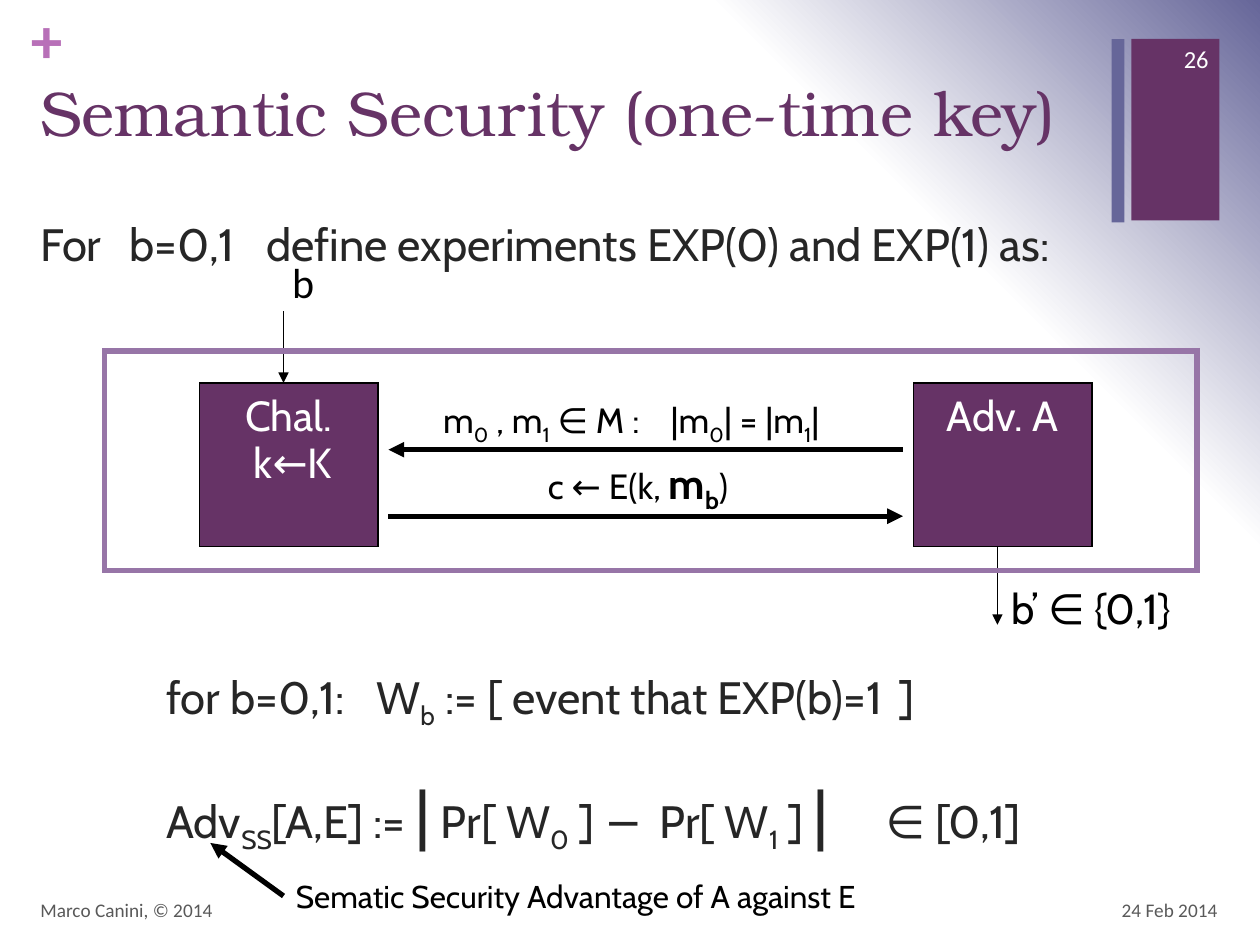
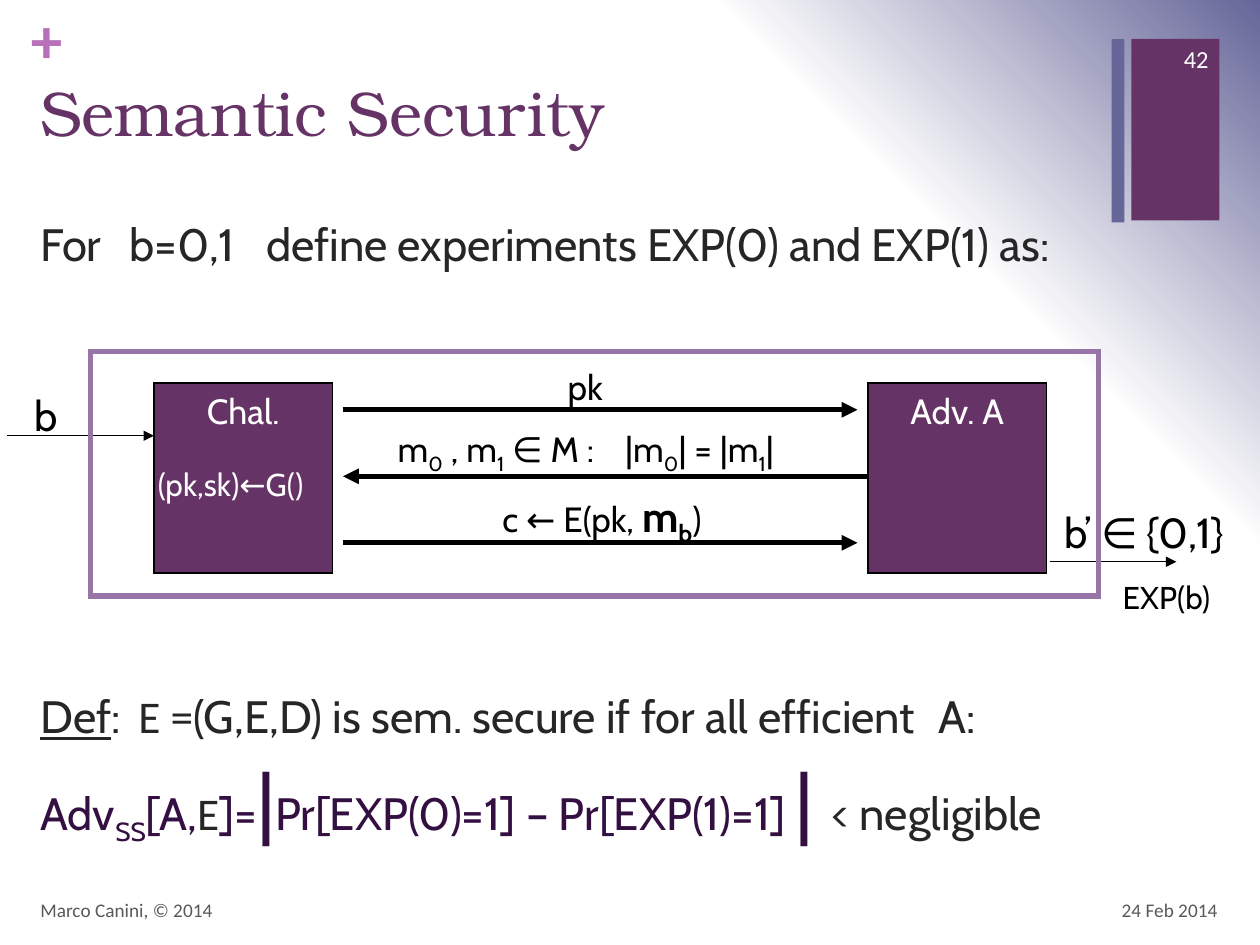
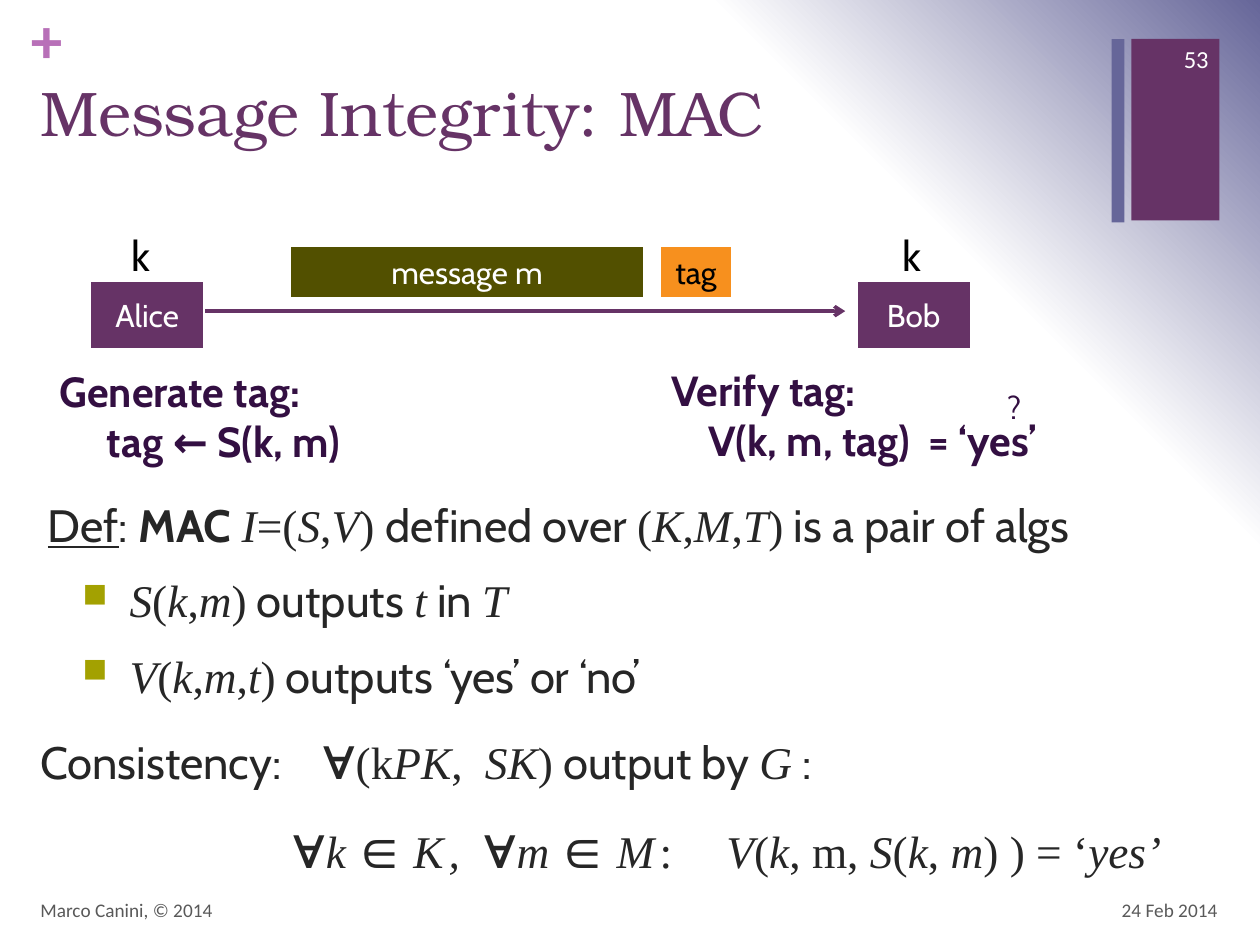
import pptx
import pptx.dml.color
import pptx.enum.shapes
import pptx.enum.text
import pptx.oxml
import pptx.oxml.ns
import pptx.util
import lxml.etree

Pt = pptx.util.Pt
color = pptx.dml.color.RGBColor.from_string
qn = pptx.oxml.ns.qn
ALIGN = pptx.enum.text.PP_ALIGN
MIDDLE = pptx.enum.text.MSO_ANCHOR.MIDDLE
RECTANGLE = pptx.enum.shapes.MSO_SHAPE.RECTANGLE
STRAIGHT = pptx.enum.shapes.MSO_CONNECTOR.STRAIGHT

PLUM, SLATE, INK, VIOLET = "663366", "666699", "262626", "330F42"
BLACK, WHITE, GRAY, MAUVE = "000000", "FFFFFF", "595959", "9775A7"
HEADING, SANS, PLAIN, SERIF = "TeX Gyre Bonum", "Cabin", "Calibri", "Times New Roman"
BODY = 25.9


def write(slide, at, *paragraphs, fill=None, line=None, width=0.75, align=ALIGN.LEFT,
          anchor=None, inset=None, **format):
    place = [Pt(value) for value in at]
    if fill or line:
        box = slide.shapes.add_shape(RECTANGLE, *place)
        box.shadow.inherit = False
        if fill:
            box.fill.solid()
            box.fill.fore_color.rgb = color(fill)
        else:
            box.fill.background()
        if line:
            box.line.color.rgb = color(line)
            box.line.width = Pt(width)
            lxml.etree.SubElement(box.line._get_or_add_ln(), qn("a:miter"), lim="800000")
        else:
            box.line.fill.background()
    else:
        box = slide.shapes.add_textbox(*place)
    frame = box.text_frame
    frame.word_wrap = True
    frame.vertical_anchor = anchor or pptx.enum.text.MSO_ANCHOR.TOP
    if inset is not None:
        frame.margin_left = frame.margin_right = frame.margin_top = frame.margin_bottom = Pt(inset)
    for index, content in enumerate(paragraphs):
        if isinstance(content, str):
            content = {"runs": [(content, {})]}
        paragraph = frame.add_paragraph() if index else frame.paragraphs[0]
        paragraph.alignment = align
        paragraph.line_spacing = content.get("spacing", 1.0)
        paragraph.space_before = Pt(content.get("before", 0))
        properties = paragraph._p.get_or_add_pPr()
        if "indent" in content:
            margin, first = content["indent"]
            properties.set("marL", str(Pt(margin)))
            properties.set("indent", str(Pt(first)))
        if "bullet" in content:
            bullet_color = lxml.etree.SubElement(properties, qn("a:buClr"))
            lxml.etree.SubElement(bullet_color, qn("a:srgbClr"), val=content["bullet"])
            lxml.etree.SubElement(properties, qn("a:buSzPct"), val="75000")
            lxml.etree.SubElement(properties, qn("a:buChar"), char="■")
        if "tabs" in content:
            stops = lxml.etree.SubElement(properties, qn("a:tabLst"))
            for stop in content["tabs"]:
                lxml.etree.SubElement(stops, qn("a:tab"), pos=str(Pt(stop)), algn="l")
        for words, changes in content["runs"]:
            style = {"font": SANS, "size": 18, "color": BLACK, **format, **changes}
            for level, part in enumerate(words.split("~")):
                for slant, piece in enumerate(part.split("*")):
                    if not piece:
                        continue
                    run = paragraph.add_run()
                    run.text = piece
                    run.font.name = style["font"]
                    run.font.size = Pt(style["size"])
                    run.font.color.rgb = color(style["color"])
                    run.font.bold = style.get("bold", False)
                    run.font.italic = slant % 2 == 1
                    run.font.underline = style.get("underline", False)
                    if level % 2:
                        run._r.get_or_add_rPr().set("baseline", "-25000")
                    if "tracking" in style:
                        run._r.get_or_add_rPr().set("spc", str(style["tracking"] * 100))


def arrow(slide, start, end, width=0.75, ink=BLACK, head="triangle"):
    link = slide.shapes.add_connector(STRAIGHT, *[Pt(value) for value in (*start, *end)])
    link.line.color.rgb = color(ink)
    link.line.width = Pt(width)
    lxml.etree.SubElement(link.line._get_or_add_ln(), qn("a:tailEnd"), type=head)
    lxml.etree.SubElement(link._element.spPr, qn("a:effectLst"))


deck = pptx.Presentation()
deck.slide_width, deck.slide_height = Pt(720), Pt(540)

deck.slide_master.background.fill.gradient()
gradient = deck.slide_master.element.find(".//" + qn("a:gradFill"))
for child in list(gradient):
    gradient.remove(child)
stops = lxml.etree.SubElement(gradient, qn("a:gsLst"))
for position, shade in ((0, WHITE), (75000, WHITE), (100000, SLATE)):
    stop = lxml.etree.SubElement(stops, qn("a:gs"), pos=str(position))
    lxml.etree.SubElement(stop, qn("a:srgbClr"), val=shade)
glow = lxml.etree.SubElement(gradient, qn("a:path"), path="circle")
lxml.etree.SubElement(glow, qn("a:fillToRect"), l="0", t="100000", r="100000", b="0")

slides = []
for title, number in (("Semantic Security (one-time key)", "26"),
                      ("Semantic Security", "42"),
                      ("Message Integrity: MAC", "53")):
    slide = deck.slides.add_slide(deck.slide_layouts[6])
    write(slide, (646.5, 22.3, 50.4, 103.7), fill=PLUM)
    write(slide, (17.6, 0, 20.9, 43.9), "+", inset=0, font=PLAIN, size=36, color="B870B8", bold=True)
    write(slide, (635.3, 22.3, 7.2, 104.8), fill=SLATE)
    write(slide, (16, 38.2, 618.5, 87.8), title, font=HEADING, size=36, color=PLUM)
    write(slide, (535, 505.4, 167.8, 28.8), "24 Feb 2014", align=ALIGN.RIGHT, anchor=MIDDLE,
          font=PLAIN, size=11, color=GRAY)
    write(slide, (16, 505.4, 482.4, 28.8), "Marco Canini, © 2014", anchor=MIDDLE,
          font=PLAIN, size=11, color=GRAY)
    write(slide, (653.8, 19, 43.9, 28.8), number, align=ALIGN.RIGHT, anchor=MIDDLE,
          font=PLAIN, size=14, color=WHITE)
    slides.append(slide)
one_time, public_key, integrity = slides

experiment = {"runs": [("For\tb=0,1\tdefine experiments EXP(0) and EXP(1) as:", {})],
              "tabs": (51, 129), "spacing": 0.8}
event = {"runs": [("\tfor b=0,1:\tW~b~ := [ event that EXP(b)=1\t]", {})],
         "tabs": (72, 192, 491), "before": 228}
bar = {"size": 37}
advantage = {"runs": [("\tAdv~SS~[A,E] := ", {}), ("|", bar), (" Pr[ W~0~ ] −\tPr[ W~1~ ] ", {}),
                      ("|", bar), ("\t∈ [0,1]", {})],
             "tabs": (72, 354, 483), "before": 24.3}
definition = {"runs": [("Def", {"underline": True}), (":\t", {}), ("E =", {"font": PLAIN}),
                       ("(G,E,D) is sem. secure if for all efficient\tA:", {})],
              "tabs": (56, 513), "before": 236, "spacing": 1.1}
violet, tall = {"color": VIOLET}, {"color": VIOLET, "size": 44.4}
bound = {"runs": [("Adv~SS~[A,", violet), ("E", {"font": PLAIN}), ("]=", violet), ("|", tall),
                  ("Pr[EXP(0)=1] – Pr[EXP(1)=1] ", violet), ("| ", tall), ("< negligible", {})],
         "spacing": 1.1}
for slide, lines in ((one_time, (event, advantage)), (public_key, (definition, bound))):
    write(slide, (16, 126, 686.9, 379.4), experiment, *lines, size=BODY, color=INK)

chosen = {"runs": [("m~0~ , m~1~ ∈ M :\t|m~0~| = |m~1~|", {})], "tabs": (130,)}
for slide, left, height, size, key, chosen_y, cipher_y, rise, lift, adversary_gap in (
        (one_time, 114, 93.6, 24, "k", 257, 295, 32.9, 37.4, 6),
        (public_key, 88, 108.7, 20, "pk", 272.2, 310.2, 31.5, 33.5, 0)):
    for role, offset in (("Chal.", 0), ("Adv. A", 408)):
        write(slide, (left + offset, 218.8, 102, height), role, fill=PLUM, line=BLACK,
              align=ALIGN.CENTER, size=size, color=WHITE)
    arrow(slide, (left + 408 - adversary_gap, chosen_y), (left + 108, chosen_y), 3)
    write(slide, (left + 132.2, chosen_y - rise, 272, 31.7), chosen, size=20)
    arrow(slide, (left + 108, cipher_y), (left + 402, cipher_y), 3)
    write(slide, (left + 192, cipher_y - lift, 145, 36.7),
          {"runs": [(f"c ← E({key}, ", {}), ("m~b~", {"size": 24, "bold": True}), (")", {})]}, size=20)

arrow(one_time, (162, 178), (162, 218.8))
write(one_time, (159.8, 143.3, 27.4, 36), "b", font=PLAIN, size=24)
write(one_time, (138, 246.2, 64.8, 36), "k←K", size=24, color=WHITE)
arrow(one_time, (570, 312.5), (570, 357))
write(one_time, (571, 329.3, 122.4, 36.7), "b’ ∈ {0,1}", size=24)
write(one_time, (59.8, 200.6, 624.2, 125.3), line=MAUVE, width=3)
write(one_time, (162, 497.5, 355, 28.8), "Sematic Security Advantage of A against E")
arrow(one_time, (162, 512), (120.2, 481.7), 3)

arrow(public_key, (4.3, 249), (88, 249))
write(public_key, (12.6, 218.9, 28, 36), "b", size=24)
write(public_key, (83.2, 262, 114.5, 28.8), "(pk,sk)←G()", color=WHITE)
arrow(public_key, (600.2, 321), (672.2, 321))
write(public_key, (601.2, 285.8, 122.4, 36.7), "b’ ∈ {0,1}", size=24)
write(public_key, (51.8, 200.9, 576, 139.7), line=MAUVE, width=3)
write(public_key, (634.5, 326.9, 69.1, 28.8), "EXP(b)")
arrow(public_key, (196, 234.2), (490, 234.2), 3)
write(public_key, (317.3, 205.2, 40, 31.7), "pk", size=20)

serif, quantifier = {"font": SERIF}, {"font": SERIF, "size": 32.4}
spaced, member = {"font": SERIF, "tracking": 3}, {**quantifier, "tracking": 3}
item = {"indent": (51, -27), "bullet": "A3A101", "before": 12}
write(integrity, (16, 280.4, 686.9, 225.4),
      {"runs": [("Def", {"underline": True}), (": ", {}), ("MAC ", {"bold": True}),
                ("*I*=(*S*,*V*) ", serif), ("defined over ", {}), ("(*K*,*M*,*T*)", serif),
                (" is a pair of algs", {})], "indent": (4.3, 0)},
      {"runs": [("*S*(*k*,*m*)", serif), (" outputs ", {}), ("*t*", serif), (" in ", {}),
                ("*T*", serif)], **item},
      {"runs": [("*V*(*k*,*m*,*t*)", serif), (" outputs ‘yes’ or ‘no’", {})], **item},
      {"runs": [("Consistency:\t", {}), ("∀", quantifier), ("(k*PK*,\t*SK*)", serif),
                (" output by ", {}), ("*G*", serif), (" :", {})],
       "tabs": (161, 254), "before": 12},
      {"runs": [("\t", {}), ("∀", quantifier), ("*k*", spaced), ("∈", member), ("*K,*\t", spaced),
                ("∀", quantifier), ("*m*", spaced), ("∈", member), ("*M*", spaced),
                (":\t*V*(*k*, m, *S*(*k*, *m*) ) = ‘*yes’*", serif)],
       "tabs": (144, 253, 392), "before": 12},
      size=BODY, color=INK)

for party, left, key_left in (("Alice", 51, 68), ("Bob", 489, 508.7)):
    write(integrity, (left, 159.8, 66.2, 40.3), party, fill=PLUM, line=WHITE, width=2.25,
          align=ALIGN.CENTER, anchor=MIDDLE, color=WHITE)
    write(integrity, (key_left, 127.4, 27.4, 36), "k", size=24)
arrow(integrity, (117.4, 177.8), (483, 177.8), 2, PLUM, "arrow")
for packet, left, breadth, fill, ink in (("message m", 165, 203.8, "525000", WHITE),
                                         ("tag", 376.8, 41.8, "F7901E", BLACK)):
    write(integrity, (left, 140, breadth, 31), packet, fill=fill, line=WHITE, width=2.25,
          align=ALIGN.CENTER, anchor=MIDDLE, color=ink)
write(integrity, (27, 205.2, 257.8, 65.5), "Generate tag:",
      {"runs": [("\ttag ← S(k, m)", {})], "tabs": (27,)}, size=24, color=VIOLET, bold=True)
write(integrity, (376.6, 204.5, 284.4, 65.5), "Verify tag:",
      {"runs": [("\tV(k, m, tag)\t= ‘yes’", {})], "tabs": (21, 147)}, size=24, color=VIOLET, bold=True)
write(integrity, (568.6, 218.2, 23, 28.8), "?", color=VIOLET)

deck.save("out.pptx")
